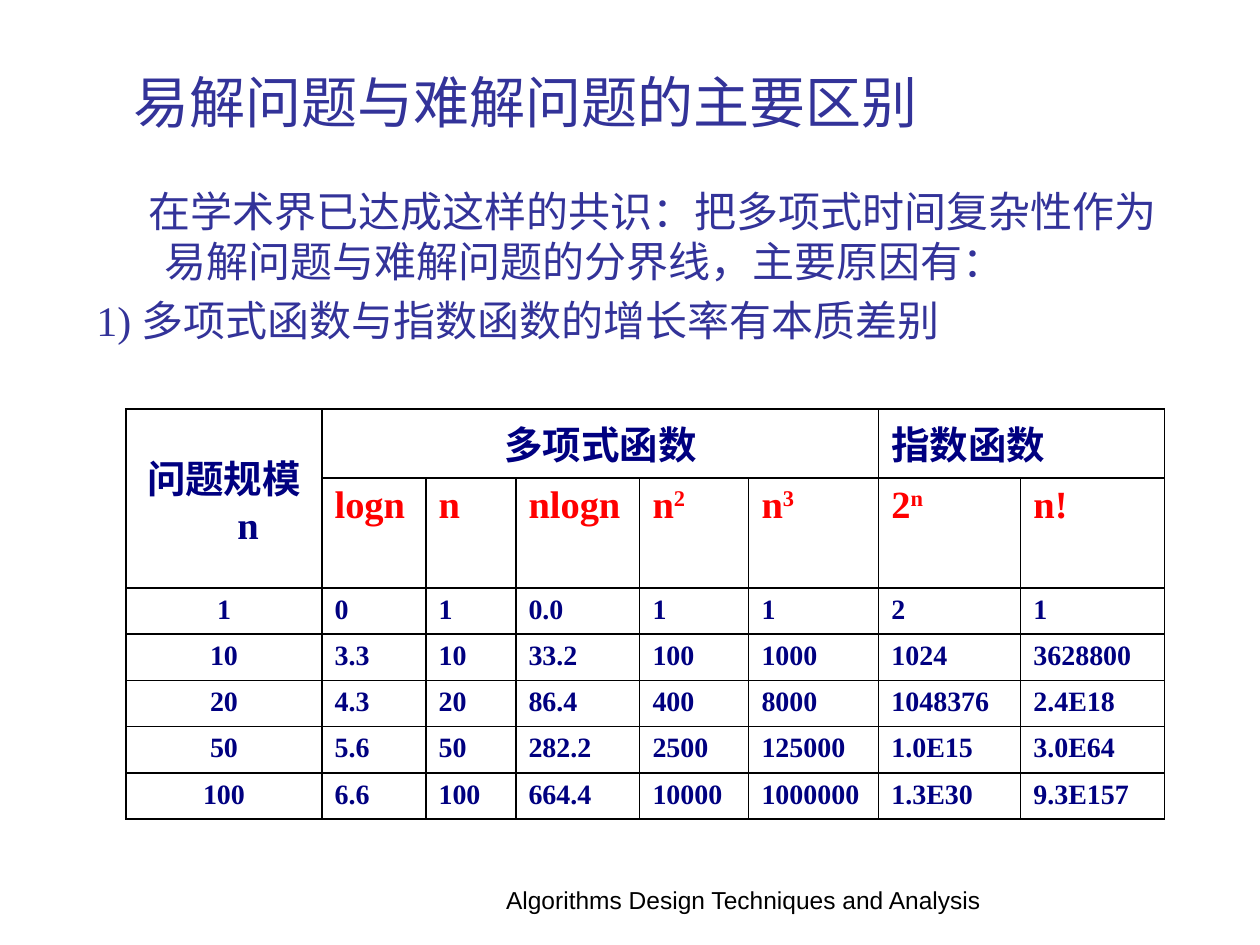
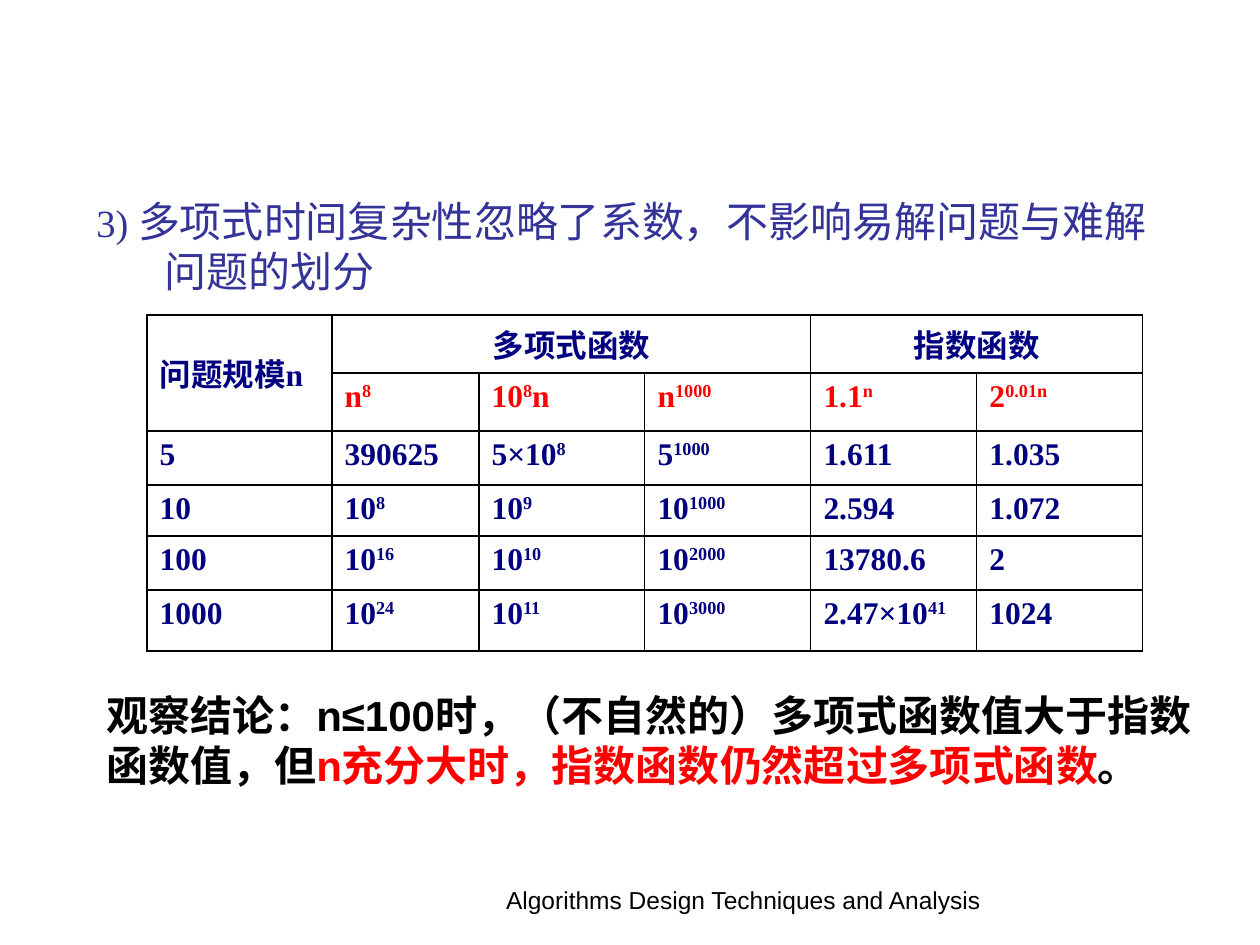
"""Build two slides that compare polynomial and exponential growth."""
from lxml.etree import SubElement
from pptx import Presentation
from pptx.dml.color import RGBColor
from pptx.enum.text import MSO_ANCHOR, PP_ALIGN
from pptx.oxml.ns import qn
from pptx.util import Emu, Pt

PX_PER_INCH = 126
INDIGO = RGBColor(0x33, 0x33, 0x99)
NAVY = RGBColor(0x00, 0x00, 0x80)
RED = RGBColor(0xFF, 0x00, 0x00)
BLACK = RGBColor(0x00, 0x00, 0x00)
SERIF = "Times New Roman"
SANS = "Arial"
CHINESE = "Noto Sans CJK SC"

TITLE = {"name": SERIF, "size": Pt(32), "color": INDIGO}
BODY = {"name": SERIF, "size": Pt(24), "color": INDIGO}
NUMBER = {**BODY, "size": Pt(22)}
CONCLUSION = {"name": SANS, "size": Pt(24), "color": BLACK, "bold": True}
FOOTER = {"name": SANS, "size": Pt(14), "color": BLACK}
CELL = {"name": SERIF, "color": NAVY, "bold": True}
BORDERS = {"a:lnL": 0.75, "a:lnR": 0.75, "a:lnT": 1, "a:lnB": 1}
HANGING = (68, -68)
CELL_HANGING = (48, -48)

GROWTH_ROWS = [
    ["问题规模n", "多项式函数", "", "", "", "", "指数函数", ""],
    ["", "logn", "n", "nlogn", "n^2", "n^3", "2^n", "n!"],
    ["1", "0", "1", "0.0", "1", "1", "2", "1"],
    ["10", "3.3", "10", "33.2", "100", "1000", "1024", "3628800"],
    ["20", "4.3", "20", "86.4", "400", "8000", "1048376", "2.4E18"],
    ["50", "5.6", "50", "282.2", "2500", "125000", "1.0E15", "3.0E64"],
    ["100", "6.6", "100", "664.4", "10000", "1000000", "1.3E30", "9.3E157"],
]
COEFFICIENT_ROWS = [
    ["问题规模n", "多项式函数", "", "", "指数函数", ""],
    ["", "n^8", "10^8^n", "n^1000", "1.1^n", "2^0.01n"],
    ["5", "390625", "5×10^8", "5^1000", "1.611", "1.035"],
    ["10", "10^8", "10^9", "10^1000", "2.594", "1.072"],
    ["100", "10^16", "10^10", "10^2000", "13780.6", "2"],
    ["1000", "10^24", "10^11", "10^3000", "2.47×10^41", "1024"],
]


def px(length):
    """Turn pixels into EMU."""
    return Emu(round(length * 914400 / PX_PER_INCH))


def add_span(para, text, style, raised=False):
    """Add one run with its font, optionally as a superscript."""
    span = para.add_run()
    span.text = text
    for name, value in style.items():
        if name == "color":
            span.font.color.rgb = value
        else:
            setattr(span.font, name, value)
    properties = span._r.get_or_add_rPr()
    SubElement(properties, qn("a:ea"), typeface=CHINESE)
    if raised:
        properties.set("baseline", "30000")


def set_indent(para, left, first):
    """Set the left margin and first-line indent of a paragraph."""
    properties = para._p.get_or_add_pPr()
    properties.set("marL", str(px(left)))
    properties.set("indent", str(px(first)))


def add_text(page, place, paragraphs, align=PP_ALIGN.LEFT, anchor=MSO_ANCHOR.TOP):
    """Add a text box; each paragraph is an indent and its styled spans."""
    frame = page.shapes.add_textbox(*map(px, place)).text_frame
    frame.word_wrap = True
    frame.vertical_anchor = anchor
    for index, (indent, spans) in enumerate(paragraphs):
        para = frame.add_paragraph() if index else frame.paragraphs[0]
        para.alignment = align
        set_indent(para, *indent)
        if index:
            para.space_before = Pt(5)
        for text, style in spans:
            add_span(para, text, style)


def add_footer(page):
    """Add the footer that every slide carries."""
    spans = [("Algorithms Design Techniques and Analysis", FOOTER)]
    add_text(page, (481, 879, 525, 59), [((0, 0), spans)], PP_ALIGN.CENTER)


def format_cell(cell, text, style, align):
    """Write a cell, raising every part between carets, and rule its edges."""
    para = cell.text_frame.paragraphs[0]
    para.alignment = align
    set_indent(para, *CELL_HANGING)
    for index, part in enumerate(text.split("^")):
        if part:
            add_span(para, part, style, raised=index % 2 == 1)
    properties = cell._tc.get_or_add_tcPr()
    for edge, width in BORDERS.items():
        line = SubElement(properties, qn(edge), w=str(Pt(width)))
        fill = SubElement(line, qn("a:solidFill"))
        SubElement(fill, qn("a:srgbClr"), val=str(BLACK))
    cell.fill.background()


def add_growth_table(page, corner, widths, heights, rows, sizes, merges, centred):
    """Add a table with two header rows and a merged corner cell."""
    place = (*corner, sum(widths), sum(heights))
    frame = page.shapes.add_table(len(rows), len(widths), *map(px, place))
    table = frame.table
    table.first_row = table.horz_banding = False
    for column, width in zip(table.columns, widths):
        column.width = px(width)
    for row, height in zip(table.rows, heights):
        row.height = px(height)
    header_size, data_size = sizes
    for r, texts in enumerate(rows):
        style = {**CELL, "size": Pt(header_size if r < 2 else data_size)}
        if r == 1:
            style["color"] = RED
        for c, text in enumerate(texts):
            align = PP_ALIGN.CENTER if centred(r, c) else PP_ALIGN.LEFT
            format_cell(table.cell(r, c), text, style, align)
    table.cell(0, 0).merge(table.cell(1, 0))
    table.cell(0, 0).vertical_anchor = MSO_ANCHOR.MIDDLE
    for first, last in merges:
        table.cell(0, first).merge(table.cell(0, last))


def build_growth_page(page):
    """Compare the growth rates of common functions."""
    add_text(page, (121, 38, 1085, 127),
             [((0, 0), [("易解问题与难解问题的主要区别", TITLE)])],
             anchor=MSO_ANCHOR.MIDDLE)
    consensus = "在学术界已达成这样的共识：把多项式时间复杂性作为易解问题与难解问题的分界线，主要原因有："
    reason = "1) 多项式函数与指数函数的增长率有本质差别"
    add_text(page, (84, 179, 1124, 536),
             [((68, -16), [(consensus, BODY)]), (HANGING, [(reason, BODY)])])
    add_growth_table(
        page, (126, 409), [196, 104, 90, 124, 109, 130, 142, 144],
        [69, 110] + [46] * 5, GROWTH_ROWS, (22, 16), [(1, 5), (6, 7)],
        lambda r, c: c == 0 or (r, c) == (0, 1))
    add_footer(page)


def build_coefficient_page(page):
    """Show that large coefficients do not change the division."""
    reason = "多项式时间复杂性忽略了系数，不影响易解问题与难解问题的划分"
    add_text(page, (84, 189, 1113, 147),
             [(HANGING, [("3) ", NUMBER), (reason, BODY)])])
    add_growth_table(
        page, (147, 315), [185, 147] + [166] * 4, [58, 58, 54, 51, 54, 61],
        COEFFICIENT_ROWS, (18, 18), [(1, 3), (4, 5)],
        lambda r, c: r == 0 and c > 0)
    conclusion = [
        ("观察结论：n≤100时，（不自然的）多项式函数值大于指数函数值，但", CONCLUSION),
        ("n充分大时，指数函数仍然超过多项式函数", {**CONCLUSION, "color": RED}),
        ("。", CONCLUSION),
    ]
    add_text(page, (94, 683, 1134, 114), [((0, 0), conclusion)],
             anchor=MSO_ANCHOR.MIDDLE)
    add_footer(page)


def main():
    """Build the deck and save it."""
    deck = Presentation()
    deck.slide_width, deck.slide_height = px(1260), px(945)
    for build in (build_growth_page, build_coefficient_page):
        build(deck.slides.add_slide(deck.slide_layouts[6]))
    deck.save("out.pptx")


if __name__ == "__main__":
    main()
